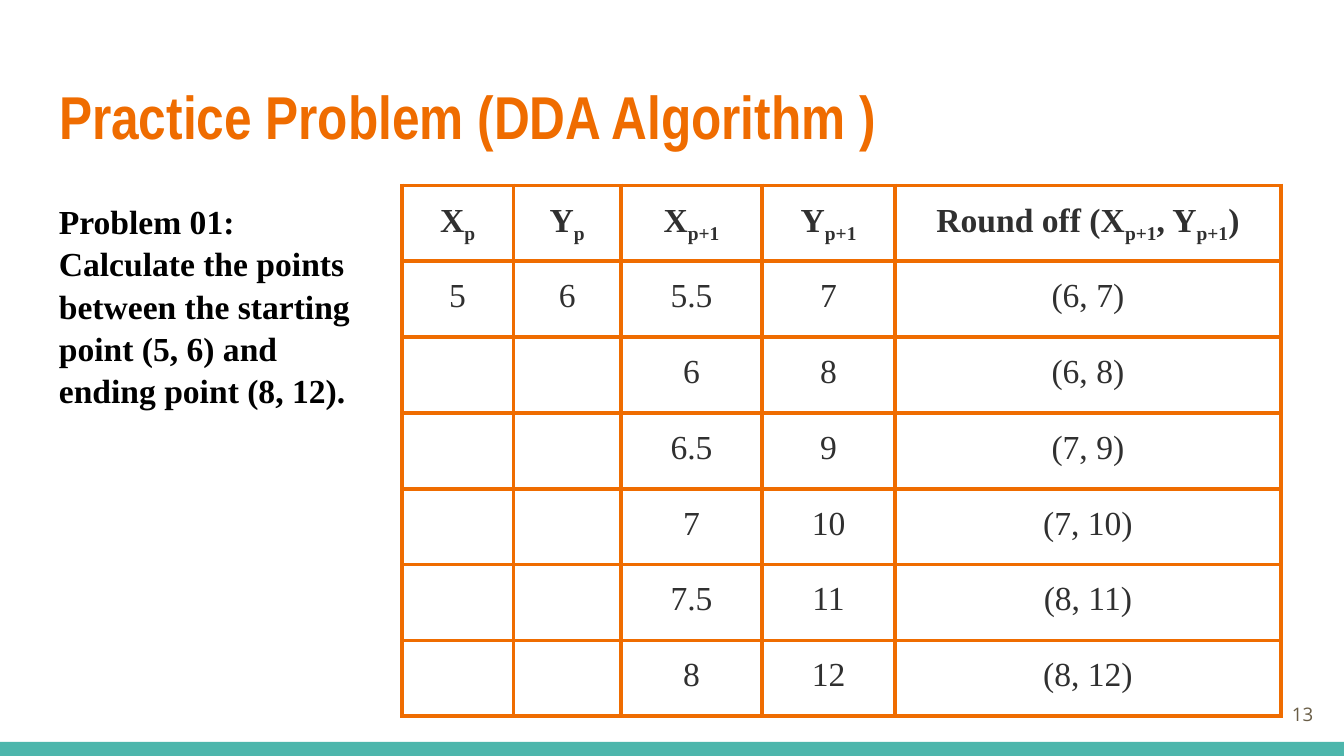
from lxml import etree
from pptx import Presentation
from pptx import util as u
from pptx.dml.color import RGBColor
from pptx.enum import shapes, text
from pptx.oxml import ns

COLORS = {"orange": "EF6C00", "teal": "4DB6AC", "black": "000000",
          "gray": "303030", "brown": "695D46"}
Inches = u.Inches


def format_frame(frame, anchor=text.MSO_ANCHOR.TOP):
    margin = Inches(0.1)
    values = {"margin_left": margin, "margin_right": margin, "margin_top": margin,
              "margin_bottom": margin, "word_wrap": True, "vertical_anchor": anchor,
              "auto_size": text.MSO_AUTO_SIZE.NONE}
    for name, value in values.items():
        setattr(frame, name, value)


def write(paragraph, wording, font, color, paragraph_format):
    for name, value in paragraph_format.items():
        setattr(paragraph, name, value)
    for index, part in enumerate(wording.split("|")):
        if not part:
            continue
        run = paragraph.add_run()
        run.text = part
        for name, value in font.items():
            setattr(run.font, name, value)
        run.font.color.rgb = RGBColor.from_string(COLORS[color])
        if index % 2:
            run.font._element.set("baseline", "-25000")


presentation = Presentation()
presentation.slide_width = Inches(10)
presentation.slide_height = Inches(10) * 9 // 16
slide = presentation.slides.add_slide(presentation.slide_layouts[5])

band_top = Inches(5.52)
band = slide.shapes.add_shape(shapes.MSO_SHAPE.RECTANGLE, Inches(0), band_top,
                              presentation.slide_width,
                              presentation.slide_height - band_top)
band.shadow.inherit = False
band.fill.solid()
band.fill.fore_color.rgb = RGBColor.from_string(COLORS["teal"])
band.line.fill.background()

title = slide.shapes.title
for name, value in {"left": 0.34, "top": 0.49, "width": 9.32, "height": 0.77}.items():
    setattr(title, name, Inches(value))
format_frame(title.text_frame)
write(title.text_frame.paragraphs[0], "Practice Problem (DDA Algorithm )",
      {"name": "Arial Narrow", "size": u.Pt(32.4), "bold": True}, "orange",
      {"alignment": text.PP_ALIGN.LEFT})

problem = slide.shapes.add_textbox(Inches(0.34), Inches(1.38), Inches(2.53), Inches(3.61))
format_frame(problem.text_frame)
write(problem.text_frame.paragraphs[0],
      "Problem 01: Calculate the points between the starting point (5, 6) "
      "and ending point (8, 12).",
      {"name": "Times New Roman", "size": u.Pt(18), "bold": True}, "black",
      {"line_spacing": 1.05})

rows = [
    ("X|p|", "Y|p|", "X|p+1|", "Y|p+1|", "Round off (X|p+1|, Y|p+1|)"),
    ("5", "6", "5.5", "7", "(6, 7)"),
    ("", "", "6", "8", "(6, 8)"),
    ("", "", "6.5", "9", "(7, 9)"),
    ("", "", "7", "10", "(7, 10)"),
    ("", "", "7.5", "11", "(8, 11)"),
    ("", "", "8", "12", "(8, 12)"),
]
widths = [0.83, 0.8, 1.05, 0.99, 2.87]
table_height = Inches(3.95)
table = slide.shapes.add_table(len(rows), len(widths), Inches(2.99), Inches(1.38),
                               Inches(sum(widths)), table_height).table
for column, width in zip(table.columns, widths):
    column.width = Inches(width)
cell_format = {"alignment": text.PP_ALIGN.CENTER, "line_spacing": 1.15,
               "space_before": u.Pt(8), "space_after": u.Pt(8)}
for row_index, row in enumerate(rows):
    table.rows[row_index].height = table_height // len(rows)
    for column_index, wording in enumerate(row):
        cell = table.cell(row_index, column_index)
        for name, value in {"margin_left": 0.1, "margin_right": 0.1,
                            "margin_top": 0.08, "margin_bottom": 0.08}.items():
            setattr(cell, name, Inches(value))
        if wording:
            write(cell.text_frame.paragraphs[0], wording,
                  {"name": "Times New Roman", "size": u.Pt(18), "bold": row_index == 0},
                  "gray", cell_format)
        properties = cell._tc.get_or_add_tcPr()
        for side in ("a:lnL", "a:lnR", "a:lnT", "a:lnB"):
            border = etree.SubElement(properties, ns.qn(side), w=str(u.Pt(2.25)))
            fill = etree.SubElement(border, ns.qn("a:solidFill"))
            etree.SubElement(fill, ns.qn("a:srgbClr"), val=COLORS["orange"])
        cell.fill.background()

number = slide.shapes.add_textbox(Inches(9.27), Inches(5.1), Inches(0.6), Inches(0.43))
format_frame(number.text_frame, text.MSO_ANCHOR.MIDDLE)
write(number.text_frame.paragraphs[0], "13", {"name": "Open Sans", "size": u.Pt(10)},
      "brown", {"alignment": text.PP_ALIGN.RIGHT})

presentation.save("out.pptx")
